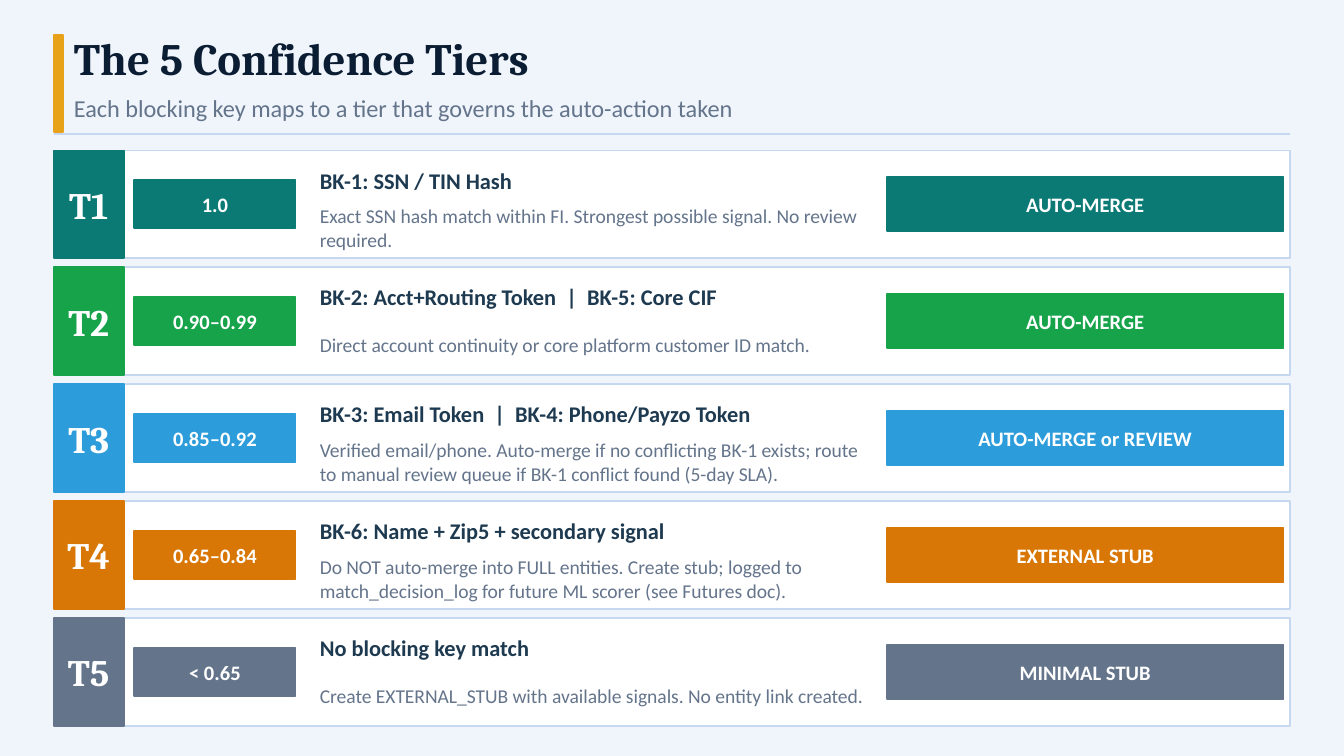
import pptx
import pptx.util
import pptx.dml.color
import pptx.enum.shapes
import pptx.enum.text
import pptx.oxml.ns
import lxml.etree
from dataclasses import dataclass

Pt = pptx.util.Pt
ALIGN = pptx.enum.text.PP_ALIGN
ANCHOR = pptx.enum.text.MSO_ANCHOR

# Content
TITLE = "The 5 Confidence Tiers"
SUBTITLE = "Each blocking key maps to a tier that governs the auto-action taken"
TIERS = [  # name, colour, score, blocking keys, description, action
    ("T1", "0B7A75", "1.0", "BK-1: SSN / TIN Hash",
     "Exact SSN hash match within FI. Strongest possible signal. No review required.",
     "AUTO-MERGE"),
    ("T2", "16A34A", "0.90–0.99", "BK-2: Acct+Routing Token  |  BK-5: Core CIF",
     "Direct account continuity or core platform customer ID match.",
     "AUTO-MERGE"),
    ("T3", "2D9CDB", "0.85–0.92", "BK-3: Email Token  |  BK-4: Phone/Payzo Token",
     "Verified email/phone. Auto-merge if no conflicting BK-1 exists; route to manual "
     "review queue if BK-1 conflict found (5-day SLA).",
     "AUTO-MERGE or REVIEW"),
    ("T4", "D97706", "0.65–0.84", "BK-6: Name + Zip5 + secondary signal",
     "Do NOT auto-merge into FULL entities. Create stub; logged to match_decision_log "
     "for future ML scorer (see Futures doc).",
     "EXTERNAL STUB"),
    ("T5", "64748B", "< 0.65", "No blocking key match",
     "Create EXTERNAL_STUB with available signals. No entity link created.",
     "MINIMAL STUB"),
]


@dataclass(frozen=True)
class Style:
    size: float
    colour: str
    font: str = "Calibri"
    bold: bool = False


class Theme:
    background = "F0F5FC"
    accent = "E8A219"
    card = "FFFFFF"
    rule = "C5D8F0"
    title = Style(24, "0B1D33", "Cambria", True)
    subtitle = Style(13, "64748B")
    tier = Style(20, "FFFFFF", "Cambria", True)
    pill = Style(11, "FFFFFF", bold=True)
    keys = Style(12, "1E3A50", bold=True)
    description = Style(10.5, "64748B")


# Layout, in points
LEFT, WIDTH = 28.8, 662.4
FIRST_ROW, ROW_HEIGHT, ROW_PITCH = 80.64, 57.6, 62.64
TIER_WIDTH = 37.44
SCORE_LEFT, SCORE_WIDTH, SCORE_HEIGHT = 72, 86.4, 25.92
TEXT_LEFT, TEXT_WIDTH = 171.36, 295.2
ACTION_LEFT, ACTION_WIDTH, ACTION_HEIGHT = 475.2, 212.4, 28.8


def rgb(colour):
    return pptx.dml.color.RGBColor.from_string(colour)


def write(shape, text, style, align=ALIGN.LEFT, anchor=ANCHOR.MIDDLE):
    frame = shape.text_frame
    frame.text = text
    frame.word_wrap = True
    frame.auto_size = pptx.enum.text.MSO_AUTO_SIZE.NONE
    frame.vertical_anchor = anchor
    frame.margin_left = frame.margin_right = frame.margin_top = frame.margin_bottom = 0
    para = frame.paragraphs[0]
    para.alignment = align
    font = para.runs[0].font
    font.name, font.size, font.bold = style.font, Pt(style.size), style.bold
    font.color.rgb = rgb(style.colour)


def add_box(page, left, top, width, height, fill, line=None):
    box = page.shapes.add_shape(pptx.enum.shapes.MSO_SHAPE.RECTANGLE,
                                Pt(left), Pt(top), Pt(width), Pt(height))
    box.shadow.inherit = False
    box.fill.solid()
    box.fill.fore_color.rgb = rgb(fill)
    box.line.color.rgb = rgb(line or fill)
    box.line.width = Pt(1)
    return box


def add_label(page, left, top, width, height, text, style):
    label = page.shapes.add_textbox(Pt(left), Pt(top), Pt(width), Pt(height))
    write(label, text, style)


def add_header(page):
    add_box(page, LEFT, 18.72, 5.04, 51.84, Theme.accent)
    title = page.shapes.title
    title.left, title.top, title.width, title.height = Pt(39.6), Pt(16.56), Pt(648), Pt(36)
    write(title, TITLE, Theme.title, anchor=ANCHOR.TOP)
    add_label(page, 39.6, 48.24, 648, 18.72, SUBTITLE, Theme.subtitle)
    rule = page.shapes.add_connector(pptx.enum.shapes.MSO_CONNECTOR.STRAIGHT,
                                     Pt(LEFT), Pt(72), Pt(LEFT + WIDTH), Pt(72))
    rule.line.color.rgb = rgb(Theme.rule)
    rule.line.width = Pt(1)
    lxml.etree.SubElement(rule._element.spPr, pptx.oxml.ns.qn("a:effectLst"))


def add_tier(page, top, tier):
    name, colour, score, keys, description, action = tier
    add_box(page, LEFT, top, WIDTH, ROW_HEIGHT, Theme.card, Theme.rule)
    # Coloured blocks, each centred on the row
    for left, width, height, text, style in (
        (LEFT, TIER_WIDTH, ROW_HEIGHT, name, Theme.tier),
        (SCORE_LEFT, SCORE_WIDTH, SCORE_HEIGHT, score, Theme.pill),
        (ACTION_LEFT, ACTION_WIDTH, ACTION_HEIGHT, action, Theme.pill),
    ):
        block = add_box(page, left, top + (ROW_HEIGHT - height) / 2, width, height, colour)
        write(block, text, style, ALIGN.CENTER)
    # Blocking keys above their description
    add_label(page, TEXT_LEFT, top + 4.32, TEXT_WIDTH, 23.04, keys, Theme.keys)
    add_label(page, TEXT_LEFT, top + 28.8, TEXT_WIDTH, 25.2, description, Theme.description)


def main():
    deck = pptx.Presentation()
    deck.slide_width, deck.slide_height = Pt(720), Pt(405)
    page = deck.slides.add_slide(deck.slide_layouts.get_by_name("Title Only"))
    page.background.fill.solid()
    page.background.fill.fore_color.rgb = rgb(Theme.background)
    add_header(page)
    for index, tier in enumerate(TIERS):
        add_tier(page, FIRST_ROW + index * ROW_PITCH, tier)
    deck.save("out.pptx")


if __name__ == "__main__":
    main()
